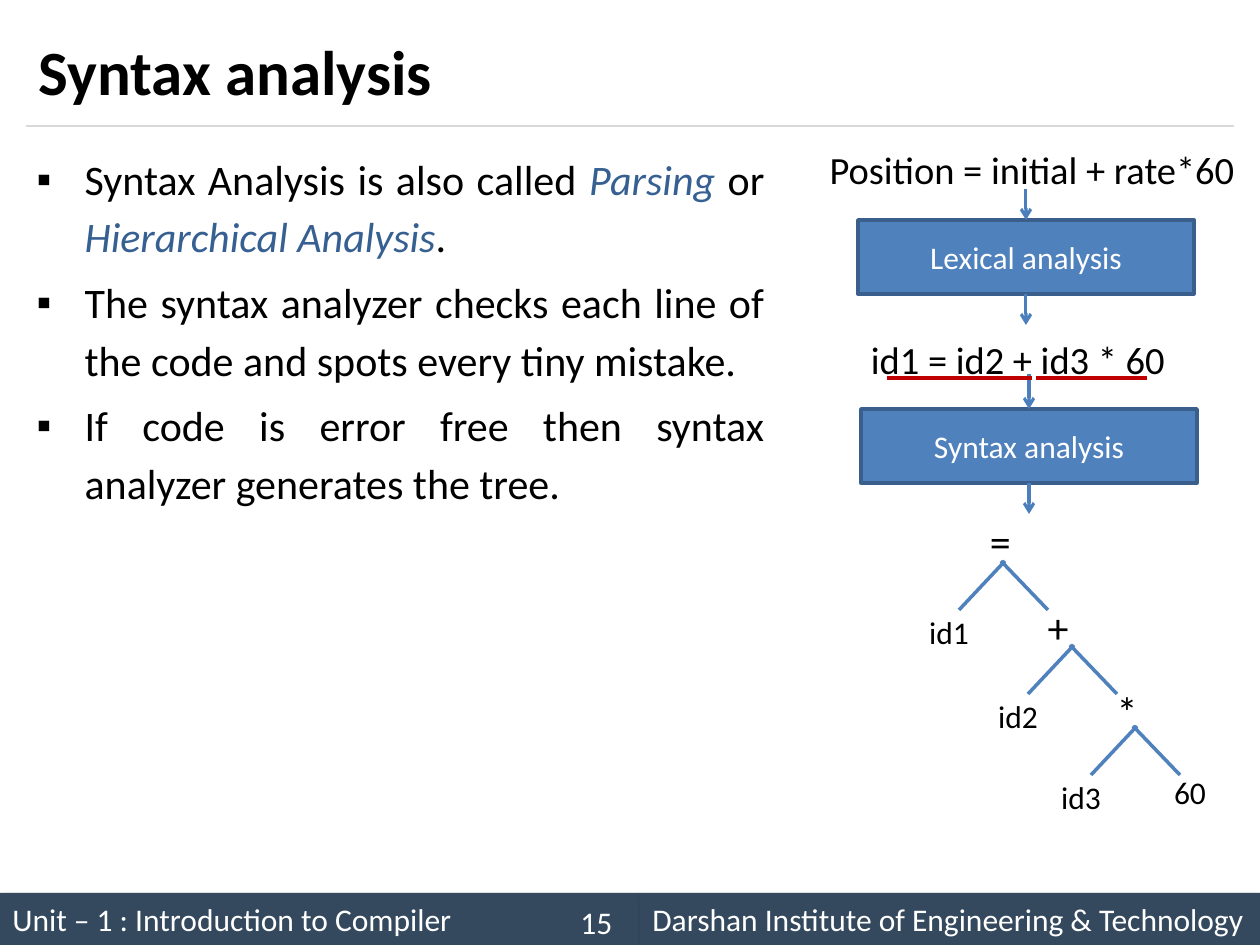
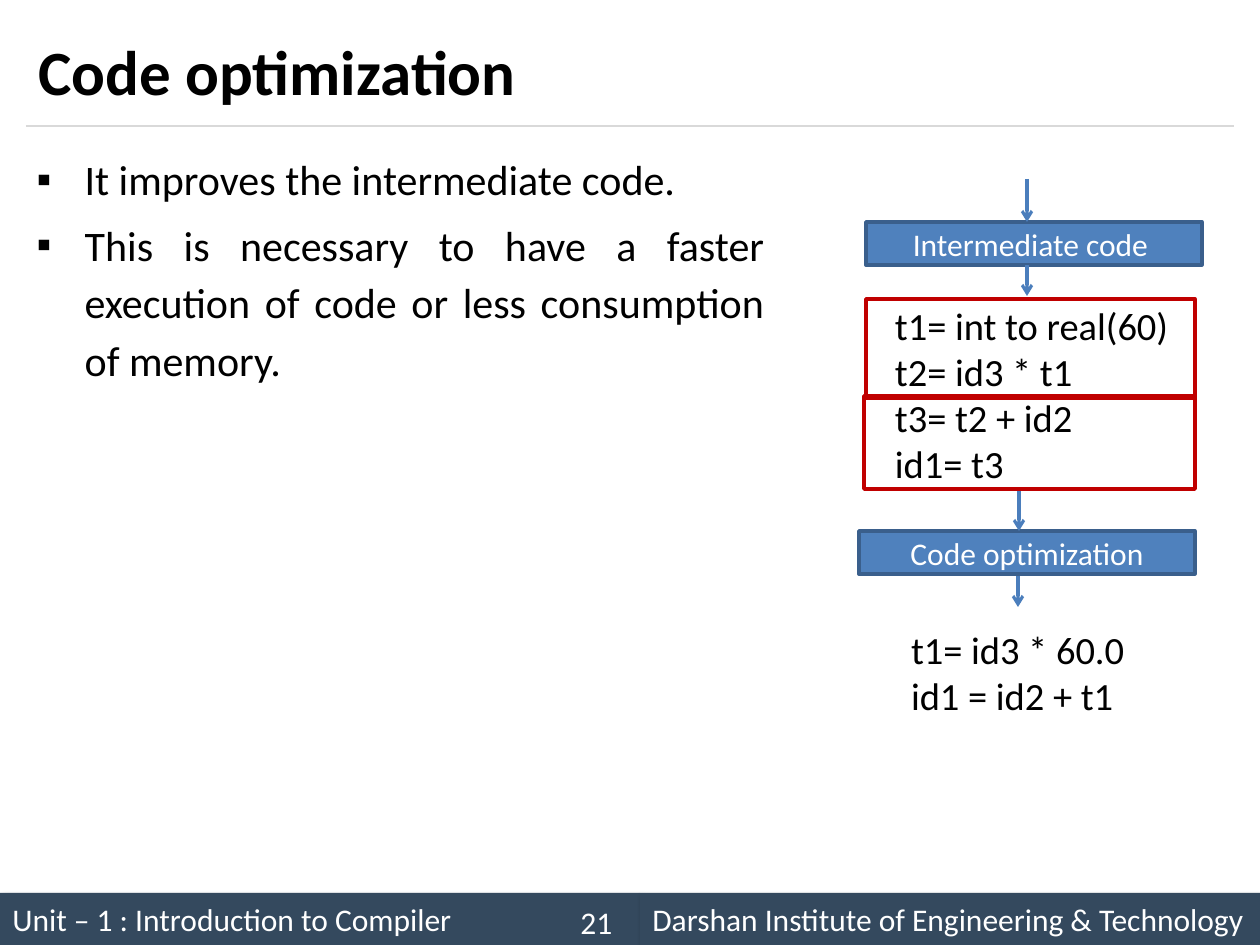
from collections import namedtuple

from lxml import etree
from pptx import Presentation
from pptx.dml.color import RGBColor
from pptx.enum.shapes import MSO_CONNECTOR, MSO_SHAPE
from pptx.enum.text import MSO_ANCHOR, MSO_AUTO_SIZE, PP_ALIGN
from pptx.oxml.ns import qn
from pptx.util import Emu, Pt

STRAIGHT, RECT = MSO_CONNECTOR.STRAIGHT, MSO_SHAPE.RECTANGLE
TOP, MIDDLE = MSO_ANCHOR.TOP, MSO_ANCHOR.MIDDLE
LEFT, CENTER, JUSTIFY = PP_ALIGN.LEFT, PP_ALIGN.CENTER, PP_ALIGN.JUSTIFY
NO_AUTOFIT = MSO_AUTO_SIZE.NONE
TOP_SIDE, BOTTOM_SIDE = 0, 2

EMU_PER_PX = 914400 / 126
FONT = "Calibri"
COLORS = {
    "text": "000000",
    "light": "FFFFFF",
    "term": "376092",
    "rule": "D9D9D9",
    "footer": "34495E",
    "phase": "4F81BD",
    "phase_edge": "3A5F8C",
    "arrow": "4B7EBC",
    "mark": "C00000",
}
NO_INSETS = dict.fromkeys(
    ("margin_left", "margin_top", "margin_right", "margin_bottom"), 0)

Box = namedtuple("Box", "left top width height")
PAGE = Box(0, 0, 1260, 945)
TITLE = Box(26, 15, 1208, 111)
BODY = Box(24, 140, 753, 742)
FOOTER = Box(0, 893, 1260, 52)
DIAGRAM = Box(822, 136, 420, 700)


def px(length):
    return Emu(round(length * EMU_PER_PX))


def inside(box, left, top, width, height):
    return Box(box.left + left, box.top + top, width, height)


def rgb(name):
    return RGBColor.from_string(COLORS[name])


def apply(target, **values):
    for name, value in values.items():
        setattr(target, name, value)


def place(shape, box):
    apply(shape, **{side: px(value) for side, value in box._asdict().items()})


def add_runs(paragraph, runs, size, color, bold=False):
    for text, is_term in runs:
        run = paragraph.add_run()
        run.text = text
        apply(run.font, name=FONT, size=Pt(size), bold=bold, italic=is_term)
        run.font.color.rgb = rgb("term" if is_term else color)


def write(shape, lines, size, color="text", align=CENTER, anchor=MIDDLE,
          spacing=1.0, bold=False, **frame_values):
    frame = shape.text_frame
    apply(frame, word_wrap=True, auto_size=NO_AUTOFIT,
          vertical_anchor=anchor, **frame_values)
    for index, line in enumerate(lines):
        paragraph = frame.add_paragraph() if index else frame.paragraphs[0]
        apply(paragraph, alignment=align, line_spacing=spacing,
              space_before=Pt(0))
        add_runs(paragraph, [(line, False)], size, color, bold)


def add_text(slide, box, lines, size, **values):
    label = slide.shapes.add_textbox(*map(px, box))
    write(label, lines, size, **values)


def add_rect(slide, box, fill=None, edge=None):
    rect = slide.shapes.add_shape(RECT, *map(px, box))
    rect.shadow.inherit = False
    if fill:
        rect.fill.solid()
        rect.fill.fore_color.rgb = rgb(fill)
    else:
        rect.fill.background()
    if edge:
        rect.line.color.rgb = rgb(edge)
        rect.line.width = Pt(2)
    else:
        rect.line.fill.background()
    return rect


def add_line(slide, box, start, end, color, width=2):
    line = slide.shapes.add_connector(
        STRAIGHT, px(box.left + start[0]), px(box.top + start[1]),
        px(box.left + end[0]), px(box.top + end[1]))
    line.line.color.rgb = rgb(color)
    line.line.width = Pt(width)
    etree.SubElement(line._element.spPr, qn("a:effectLst"))
    return line


def add_arrow(slide, box, x, top, bottom, source=None, target=None):
    arrow = add_line(slide, box, (x, top), (x, bottom), "arrow", 1.75)
    outline = arrow._element.spPr.find(qn("a:ln"))
    etree.SubElement(outline, qn("a:tailEnd"), type="arrow")
    if source:
        arrow.begin_connect(source, BOTTOM_SIDE)
    if target:
        arrow.end_connect(target, TOP_SIDE)


def add_phase(slide, box, name):
    phase = add_rect(slide, box, "phase", "phase_edge")
    write(phase, [name], 18, color="light")
    return phase


def add_footer(slide, box, number):
    halves = [
        (inside(box, 0, 0, 640, 52), "Unit – 1 : Introduction to Compiler"),
        (inside(box, 640, 0, 620, 52),
         "Darshan Institute of Engineering & Technology"),
    ]
    for half, text in halves:
        band = add_rect(slide, half, "footer")
        effects = band._element.spPr.find(qn("a:effectLst"))
        shadow = etree.SubElement(
            effects, qn("a:outerShdw"), blurRad="50800", dist="38100",
            dir="2700000", algn="tl", rotWithShape="0")
        shade = etree.SubElement(shadow, qn("a:srgbClr"), val=COLORS["text"])
        etree.SubElement(shade, qn("a:alpha"), val="40000")
        write(band, [text], 18, color="light", align=LEFT)
    add_text(slide, inside(box, 553, 4, 87, 50), [number], 18, color="light")


def add_bullets(body, box, points):
    place(body, box)
    frame = body.text_frame
    apply(frame, word_wrap=True, auto_size=NO_AUTOFIT, vertical_anchor=TOP)
    for index, runs in enumerate(points):
        point = frame.add_paragraph() if index else frame.paragraphs[0]
        properties = point._p.get_or_add_pPr()
        properties.set("marL", str(px(48)))
        properties.set("indent", str(-px(48)))
        etree.SubElement(properties, qn("a:buChar"), char="▪")
        apply(point, alignment=JUSTIFY, line_spacing=1.14,
              space_before=Pt(4.8 if index else 0))
        add_runs(point, runs, 24, "text")


def add_lesson(deck, number, title, points):
    slide = deck.slides.add_slide(deck.slide_layouts[1])
    slide.background.fill.solid()
    slide.background.fill.fore_color.rgb = rgb("light")
    add_line(slide, TITLE, (0, TITLE.height), (TITLE.width, TITLE.height),
             "rule", 0.75)
    add_footer(slide, FOOTER, number)
    place(slide.shapes.title, TITLE)
    write(slide.shapes.title, [title], 36, align=LEFT, bold=True)
    add_bullets(slide.placeholders[1], BODY, points)
    return slide


def add_syntax_tree(slide, box):
    label_width, label_height = 96, 53
    branches = [
        ((181, 425), ("id1", 18), ("+", 24)),
        ((250, 509), ("id2", 18), ("*", 24)),
        ((313, 590), ("id3", 18), ("60", 18)),
    ]
    add_text(slide, inside(box, 147, 378, 63, label_height), ["="], 24)
    for (x, y), left_child, right_child in branches:
        add_line(slide, box, (x + 2, y), (x - 44, y + 49), "phase")
        add_line(slide, box, (x - 2, y), (x + 45, y + 49), "phase")
        for (text, size), dx, dy in ((left_child, -102, 44),
                                     (right_child, 7, 39)):
            add_text(slide,
                     inside(box, x + dx, y + dy, label_width, label_height),
                     [text], size)


def add_syntax_flow(slide, box):
    statement = dict(spacing=1.14, **NO_INSETS)
    add_text(slide, inside(box, 0, 0, 420, 59),
             ["Position = initial + rate*60"], 22, **statement)
    lexical = add_phase(slide, inside(box, 36, 84, 336, 74),
                        "Lexical analysis")
    add_text(slide, inside(box, 12, 190, 368, 59),
             ["id1 = id2 + id3 * 60"], 22, **statement)
    syntax = add_phase(slide, inside(box, 39, 273, 336, 74),
                       "Syntax analysis")
    add_arrow(slide, box, 204, 53, 84, target=lexical)
    add_arrow(slide, box, 204, 158, 189, source=lexical)
    add_arrow(slide, box, 207, 238, 273, target=syntax)
    add_arrow(slide, box, 207, 347, 378, source=syntax)
    add_syntax_tree(slide, box)
    for start, end in ((214, 325), (128, 210), (65, 147)):
        add_line(slide, box, (start, 242), (end, 242), "mark")


def add_optimization_flow(slide, box):
    code = dict(align=LEFT, anchor=TOP, **NO_INSETS)
    add_phase(slide, inside(box, 44, 86, 336, 43), "Intermediate code ")
    add_phase(slide, inside(box, 37, 395, 336, 43), "Code optimization")
    for x, top, bottom in ((205, 43, 86), (205, 129, 160),
                           (197, 352, 395), (196, 440, 471)):
        add_arrow(slide, box, x, top, bottom)
    add_text(slide, inside(box, 73, 166, 300, 188),
             ["t1= int to real(60)", "t2= id3 * t1", "t3= t2 + id2",
              "id1= t3"], 22, **code)
    add_text(slide, inside(box, 89, 490, 260, 94),
             ["t1= id3 * 60.0", "id1 = id2 + t1"], 22, **code)
    for code_pair in ((44, 163, 329, 99), (42, 260, 331, 93)):
        add_rect(slide, inside(box, *code_pair), edge="mark")


def main():
    deck = Presentation()
    apply(deck, slide_width=px(PAGE.width), slide_height=px(PAGE.height))
    syntax = add_lesson(deck, "15", "Syntax analysis", [
        [("Syntax Analysis is also called ", False), ("Parsing ", True),
         ("or ", False), ("Hierarchical Analysis", True), (".", False)],
        [("The syntax analyzer checks each line of the code and spots "
          "every tiny mistake.", False)],
        [("If code is error free then syntax analyzer generates the tree.",
          False)],
    ])
    add_syntax_flow(syntax, DIAGRAM)
    optimization = add_lesson(deck, "21", "Code optimization", [
        [("It improves the intermediate code.", False)],
        [("This is necessary to have a faster execution of code or less "
          "consumption of memory.", False)],
    ])
    add_optimization_flow(optimization, DIAGRAM)
    deck.save("out.pptx")


if __name__ == "__main__":
    main()
